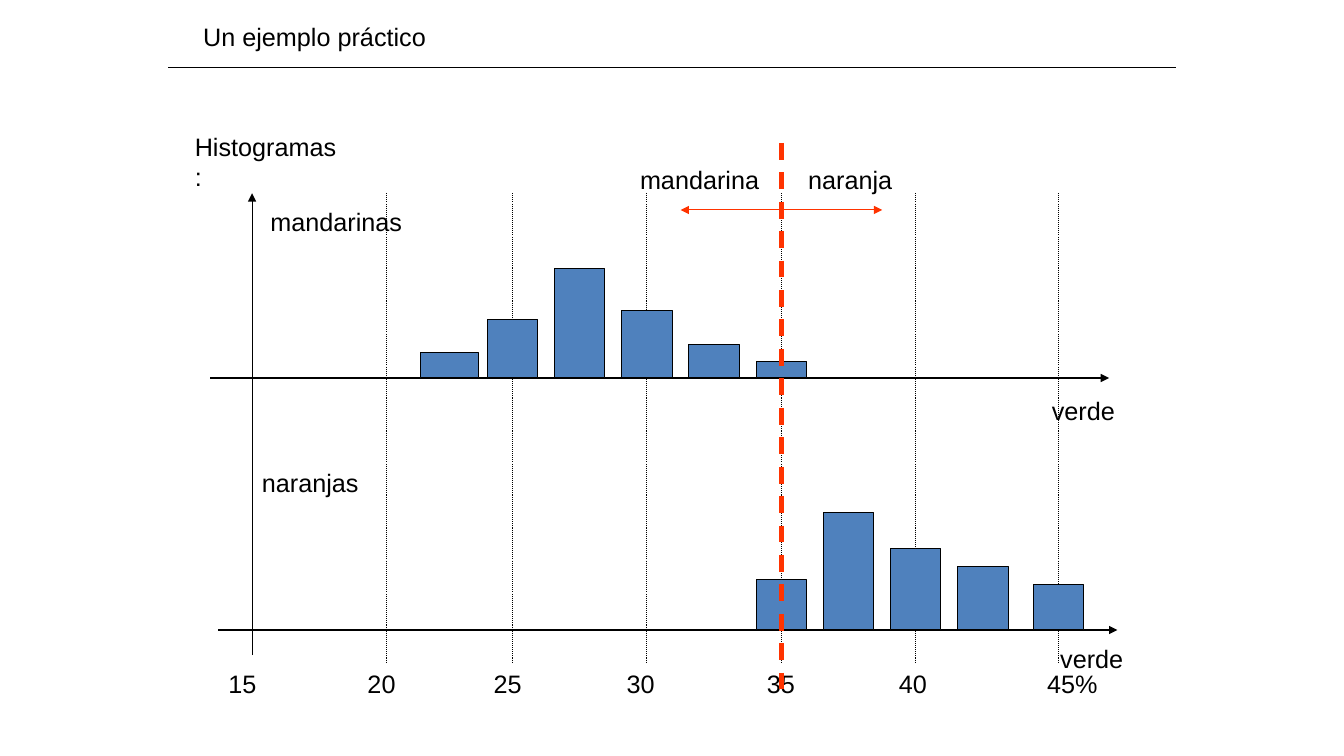
from pptx import Presentation
from pptx.dml.color import RGBColor
from pptx.enum.dml import MSO_LINE
from pptx.enum.shapes import MSO_CONNECTOR, MSO_SHAPE
from pptx.enum.text import MSO_AUTO_SIZE
from pptx.oxml.ns import qn
from pptx.util import Inches, Pt
from lxml.etree import SubElement

BLACK = RGBColor(0x00, 0x00, 0x00)
BLUE = RGBColor(0x4F, 0x81, 0xBD)
RED = RGBColor(0xFF, 0x33, 0x00)

# Grid of 160 columns by 90 rows, twelve to the inch
U = Inches(1) / 12

prs = Presentation()
prs.slide_width, prs.slide_height = Inches(13.33), Inches(7.5)
s = prs.slides.add_slide(prs.slide_layouts[6])


def add_line(x1, y1, x2, y2, color=BLACK, width=0.75, dash=None, arrow=False):
    cx = s.shapes.add_connector(MSO_CONNECTOR.STRAIGHT,
                                *(round(v * U) for v in (x1, y1, x2, y2)))
    cx.line.color.rgb = color
    cx.line.width = Pt(width)
    if dash:
        cx.line.dash_style = dash
    if arrow:
        SubElement(cx.line._get_or_add_ln(), qn("a:tailEnd"), type="triangle")
    SubElement(cx._element.spPr, qn("a:effectLst"))


def add_text(text, col, row, width, height=4.8, wrap=False):
    sp = s.shapes.add_textbox(*(round(v * U) for v in (col, row, width, height)))
    tf = sp.text_frame
    tf.word_wrap = wrap
    tf.auto_size = MSO_AUTO_SIZE.SHAPE_TO_FIT_TEXT
    r = tf.paragraphs[0].add_run()
    r.text = text
    r.font.name = "Arial"
    r.font.size = Pt(18)
    r.font.color.rgb = BLACK
    return tf


# Title and heading
add_text("Un ejemplo práctico", 23, 2, 28.9)
add_text("Histogramas:", 22, 15, 20, 12)
add_line(20, 8, 140, 8)

# Axes
TOP_BASE, LOW_BASE = 45, 75
add_line(30, 78, 30, 23, arrow=True)
add_line(26, LOW_BASE, 133, LOW_BASE, arrow=True)
add_line(25, TOP_BASE, 132, TOP_BASE, arrow=True)
add_text("verde", 124, 46.5, 10)
add_text("verde", 125, 76, 10)
add_text("mandarinas", 31, 24, 18.1)
add_text("naranjas", 30, 55, 13.9)

# Dotted grid lines
for col in (46, 61, 77, 93, 109, 126):
    add_line(col, 23, col, 79, dash=MSO_LINE.ROUND_DOT)

# Scale, set on tab stops
tf = add_text("15\t20\t25\t30\t35\t40\t45%", 26, 79, 106, wrap=True)
tf.margin_right = 0
tabs = SubElement(tf.paragraphs[0]._p.get_or_add_pPr(), qn("a:tabLst"))
for stop in (1.38, 2.63, 3.95, 5.34, 6.65, 8.12):
    SubElement(tabs, qn("a:tab"), pos=str(Inches(stop)), algn="l")

# Histogram bars: column, width, height
histograms = {
    TOP_BASE: [(50, 7, 3), (58, 6, 7), (66, 6, 13),
               (74, 6, 8), (82, 6, 4), (90, 6, 2)],
    LOW_BASE: [(123, 6, 5.4), (114, 6, 7.56), (106, 6, 9.72),
               (98, 6, 14), (90, 6, 6)],
}
for base, bars in histograms.items():
    for col, width, height in bars:
        sp = s.shapes.add_shape(
            MSO_SHAPE.RECTANGLE,
            *(round(v * U) for v in (col, base - height, width, height)))
        sp.shadow.inherit = False
        sp.fill.solid()
        sp.fill.fore_color.rgb = BLUE
        sp.line.color.rgb = BLACK
        sp.line.width = Pt(0.75)

# Decision threshold with its two sides
THRESHOLD = 93
add_line(THRESHOLD, 17, THRESHOLD, 82, RED, 3, MSO_LINE.DASH)
for label, col, width, side in (("naranja", 95, 12.4, 12),
                                ("mandarina", 75, 16.6, -12)):
    add_text(label, col, 19, width)
    add_line(THRESHOLD, 25, THRESHOLD + side, 25, RED, arrow=True)

prs.save("out.pptx")
